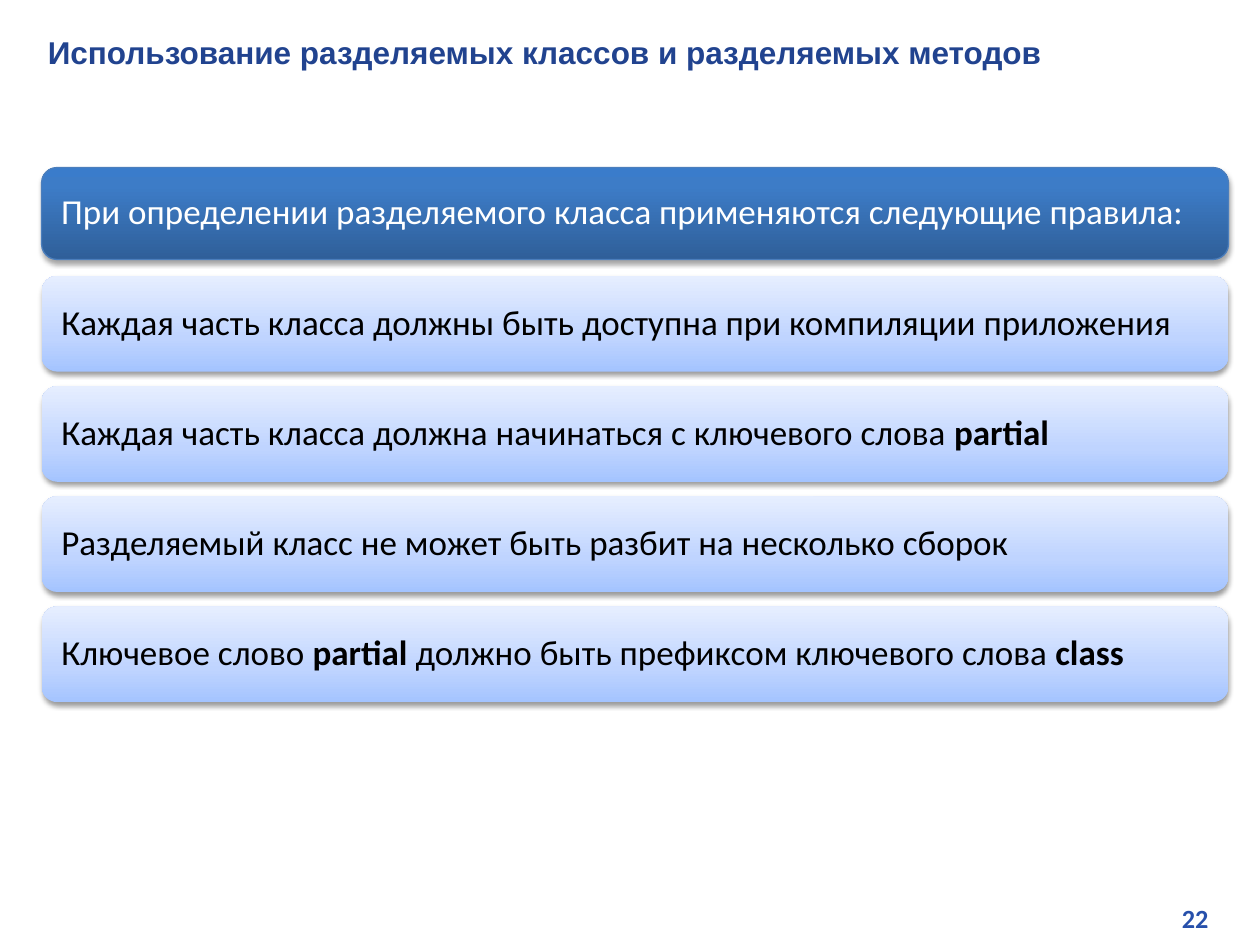
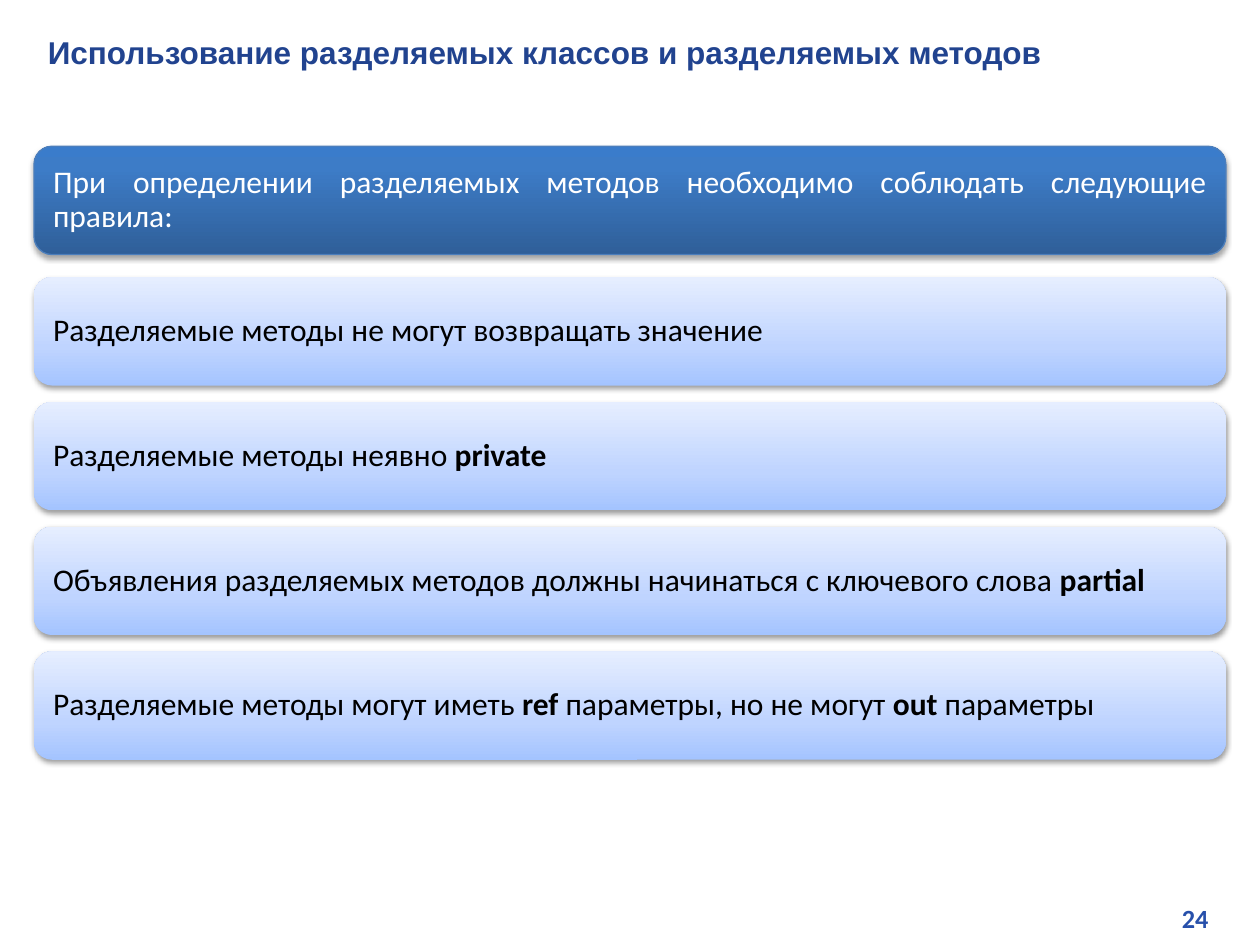
"""Two slides listing the rules for partial classes and partial methods in C#."""
from dataclasses import dataclass

from lxml import etree
from pptx import Presentation
from pptx.dml.color import RGBColor
from pptx.enum.shapes import MSO_SHAPE
from pptx.enum.text import MSO_ANCHOR, PP_ALIGN
from pptx.oxml import parse_xml
from pptx.oxml.ns import qn
from pptx.util import Inches, Pt

ROUNDED = MSO_SHAPE.ROUNDED_RECTANGLE
LEFT, RIGHT, JUSTIFY = PP_ALIGN.LEFT, PP_ALIGN.RIGHT, PP_ALIGN.JUSTIFY
TOP, MIDDLE = MSO_ANCHOR.TOP, MSO_ANCHOR.MIDDLE

SLIDE_W, SLIDE_H = Inches(10), Inches(7.5)
TITLE = "Использование разделяемых классов и разделяемых методов"
TITLE_AREA = (2.5, 2.67, 95.4, 5.33)
NUMBER_AREA = (76, 94.67, 21.2, 5.07)
COLORS = {
    "title": "21438F",
    "number": "2750AB",
    "heading_text": "FFFFFF",
    "rule_text": "000000",
    "heading_line": "4B7EBC",
    "shadow": "000000",
    "heading_bottom": "2F5F99",
    "heading_middle": "3D7CC7",
    "heading_top": "3A7CCB",
    "rule_bottom": "A4C4FF",
    "rule_middle": "BFD4FF",
    "rule_top": "E6EEFF",
}


@dataclass
class CardStyle:
    """Look of a card: colour prefix, middle gradient stop and shadow."""
    role: str
    middle_stop: int
    shadow_alpha: int
    shadow_distance: float


HEADING = CardStyle("heading", 80, 35, 1.8)
RULE = CardStyle("rule", 35, 38, 1.6)


@dataclass
class CardStack:
    """Grid of a column of cards, in percent of the slide's size."""
    left: float
    width: float
    heading_top: float
    heading_height: float
    rules_top: float
    rule_height: float
    rule_gap: float
    inset: float
    size: int


def color(name):
    """Return the named colour of the palette."""
    return RGBColor.from_string(COLORS[name])


def area(left, top, width, height):
    """Turn percentages of the slide's size into lengths."""
    return (round(SLIDE_W * left / 100), round(SLIDE_H * top / 100),
            round(SLIDE_W * width / 100), round(SLIDE_H * height / 100))


def write(shape, text, font, size, ink, align=LEFT, anchor=TOP,
          insets=(0.13, 0.06), bold=False):
    """Fill a shape with one paragraph; parts between asterisks are bold."""
    frame = shape.text_frame
    frame.word_wrap = True
    frame.vertical_anchor = anchor
    frame.margin_left = frame.margin_right = Inches(insets[0])
    frame.margin_top = frame.margin_bottom = Inches(insets[1])
    paragraph = frame.paragraphs[0]
    paragraph.alignment = align
    for index, part in enumerate(text.split("*")):
        if part:
            run = paragraph.add_run()
            run.text = part
            run.font.name = font
            run.font.size = Pt(size)
            run.font.bold = bold or index % 2 == 1
            run.font.color.rgb = color(ink)
    return paragraph


def set_gradient(shape, stops):
    """Fill a shape with a gradient that runs from bottom to top."""
    gradient = parse_xml(
        '<a:gradFill xmlns:a="http://schemas.openxmlformats.org/drawingml/2006/main"'
        ' rotWithShape="1"><a:gsLst/><a:lin ang="16200000" scaled="0"/></a:gradFill>')
    for position, name in stops:
        stop = etree.SubElement(gradient[0], qn("a:gs"), pos=str(position * 1000))
        etree.SubElement(stop, qn("a:srgbClr"), val=COLORS[name])
    shape.element.spPr.find(qn("a:prstGeom")).addnext(gradient)


def set_shadow(shape, alpha, distance):
    """Give a shape a soft shadow that falls straight down."""
    shape.shadow.inherit = False
    effects = shape.element.spPr.find(qn("a:effectLst"))
    shadow = etree.SubElement(
        effects, qn("a:outerShdw"), blurRad=str(Pt(3.1)), dist=str(Pt(distance)),
        dir="5400000", rotWithShape="0")
    tint = etree.SubElement(shadow, qn("a:srgbClr"), val=COLORS["shadow"])
    etree.SubElement(tint, qn("a:alpha"), val=str(alpha * 1000))


def add_card(slide, stack, top, height, text, style):
    """Add one rounded card with its text."""
    card = slide.shapes.add_shape(ROUNDED, *area(stack.left, top, stack.width, height))
    if style is HEADING:
        card.line.color.rgb = color("heading_line")
        card.line.width = Pt(0.75)
    else:
        card.line.fill.background()
    set_gradient(card, [(0, f"{style.role}_bottom"),
                        (style.middle_stop, f"{style.role}_middle"),
                        (100, f"{style.role}_top")])
    set_shadow(card, style.shadow_alpha, style.shadow_distance)
    paragraph = write(card, text, "Calibri", stack.size, f"{style.role}_text",
                      JUSTIFY, MIDDLE, (stack.inset, stack.inset))
    paragraph.line_spacing = 0.9


def add_rules_slide(deck, number, stack, heading, rules):
    """Add a slide with title, page number, heading card and rule cards."""
    slide = deck.slides.add_slide(deck.slide_layouts[6])
    page = slide.shapes.add_textbox(*area(*NUMBER_AREA))
    write(page, str(number), "Calibri", 15, "number", RIGHT, bold=True)
    title = slide.shapes.add_textbox(*area(*TITLE_AREA))
    write(title, TITLE, "Arial", 18, "title", bold=True)
    add_card(slide, stack, stack.heading_top, stack.heading_height, heading, HEADING)
    for row, rule in enumerate(rules):
        top = stack.rules_top + row * (stack.rule_height + stack.rule_gap)
        add_card(slide, stack, top, stack.rule_height, rule, RULE)


def main():
    """Build and save the deck."""
    deck = Presentation()
    deck.slide_width, deck.slide_height = SLIDE_W, SLIDE_H
    class_stack = CardStack(left=3.3, width=94.2, heading_top=17.73, heading_height=9.73,
                            rules_top=29.2, rule_height=10.13, rule_gap=1.53,
                            inset=0.12, size=20)
    method_stack = CardStack(left=2.7, width=94.6, heading_top=15.47, heading_height=11.47,
                             rules_top=29.33, rule_height=11.47, rule_gap=1.73,
                             inset=0.11, size=18)
    add_rules_slide(
        deck, 22, class_stack,
        "При определении разделяемого класса применяются следующие правила:",
        ["Каждая часть класса должны быть доступна при компиляции приложения",
         "Каждая часть класса должна начинаться с ключевого слова *partial*",
         "Разделяемый класс не может быть разбит на несколько сборок",
         "Ключевое слово *partial *должно быть префиксом ключевого слова *class*"])
    add_rules_slide(
        deck, 24, method_stack,
        "При определении разделяемых методов необходимо соблюдать следующие правила:",
        ["Разделяемые методы не могут возвращать значение",
         "Разделяемые методы неявно *private*",
         "Объявления разделяемых методов должны начинаться с ключевого слова *partial*",
         "Разделяемые методы могут иметь *ref* параметры, но не могут *out* параметры"])
    deck.save("out.pptx")


if __name__ == "__main__":
    main()
